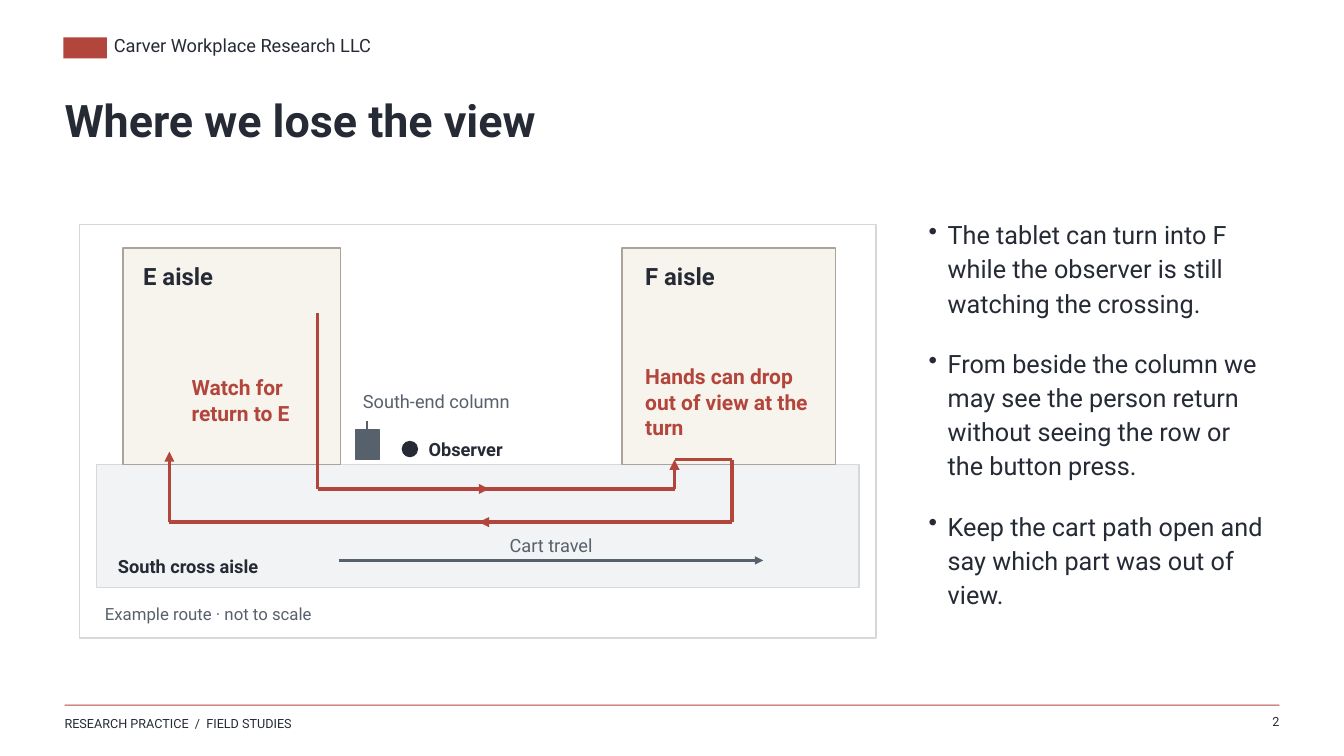
from dataclasses import dataclass
from itertools import pairwise

from lxml import etree
from pptx import Presentation
from pptx.dml.color import RGBColor
from pptx.enum.shapes import MSO_CONNECTOR, MSO_SHAPE
from pptx.enum.text import PP_ALIGN
from pptx.oxml.ns import qn
from pptx.util import Inches, Pt

RECTANGLE, OVAL = MSO_SHAPE.RECTANGLE, MSO_SHAPE.OVAL
STRAIGHT = MSO_CONNECTOR.STRAIGHT
LEFT, CENTER, RIGHT = PP_ALIGN.LEFT, PP_ALIGN.CENTER, PP_ALIGN.RIGHT

FONT = "Roboto"
INK, RED, SLATE = "252A35", "B3463C", "57616C"
WHITE, BORDER = "FFFFFF", "D5D9DB"
FLOOR, AISLE, AISLE_EDGE = "F2F3F4", "F7F3ED", "A9A39C"

# Every length is in columns and rows of a grid with square cells.
CELL = Inches(0.1)
COLUMNS, ROWS = 133.3, 75
MARGIN = 6.4
AISLE_TOP, AISLE_ROWS = 24.6, 21.5
F_TEXT = 64
OUT_ROW, BACK_ROW, CART_ROW = 48.5, 51.8, 55.6


@dataclass
class Block:
    column: float
    row: float
    columns: float
    rows: float
    fill: str
    edge: str | None = None
    preset: int = RECTANGLE


@dataclass
class Label:
    text: str
    column: float
    row: float
    columns: float
    rows: float
    size: float
    color: str = INK
    bold: bool = False
    align: int = LEFT


@dataclass
class Route:
    """A chain of straight legs; the last one may carry an arrowhead."""
    points: list[tuple[float, float]]
    color: str = RED
    width: float = 2.4
    arrow: bool = True


BLOCKS = [
    Block(6.3, 3.7, 4.3, 2.1, RED),
    Block(MARGIN, 69.9, 120.5, 0.1, RED),
    Block(7.9, 22.3, 79, 41, WHITE, BORDER),
    Block(9.6, AISLE_TOP + AISLE_ROWS, 75.6, 12.2, FLOOR, BORDER),
    Block(12.2, AISLE_TOP, 21.6, AISLE_ROWS, AISLE, AISLE_EDGE),
    Block(61.7, AISLE_TOP, 21.2, AISLE_ROWS, AISLE, AISLE_EDGE),
    Block(35.3, 42.6, 2.3, 3, SLATE, SLATE),
    Block(39.9, 43.8, 1.5, 1.5, INK, INK, OVAL),
]

ROUTES = [
    Route([(31.5, 31.1), (31.5, OUT_ROW), (66.9, OUT_ROW), (66.9, 45.6)]),
    Route([(66.9, 45.6), (72.6, 45.6), (72.6, BACK_ROW),
           (16.8, BACK_ROW), (16.8, 44.8)]),
    Route([(42.6, OUT_ROW), (48.5, OUT_ROW)]),
    Route([(53.4, BACK_ROW), (47.5, BACK_ROW)]),
    Route([(36.4, 41.8), (36.4, 42.6)], SLATE, 1, arrow=False),
    Route([(33.6, CART_ROW), (75.7, CART_ROW)], SLATE, 1.7),
]

LABELS = [
    Label("Carver Workplace Research LLC", 11.3, 3.4, 55, 3, 13),
    Label("Where we lose the view", MARGIN, 9.2, 120, 10, 32, bold=True),
    Label("RESEARCH PRACTICE  /  FIELD STUDIES", MARGIN, 71, 55, 2.4, 9),
    Label("2", 121.3, 70.8, 5.6, 2.4, 9, align=RIGHT),
    Label("E aisle", 14.2, 26, 16, 3.2, 17, bold=True),
    Label("F aisle", F_TEXT, 26, 16, 3.2, 17, bold=True),
    Label("South cross aisle", 11.7, 55.1, 21, 3, 13, bold=True),
    Label("Watch for return to E", 19, 37.2, 12.8, 7, 15, RED, True),
    Label("Hands can drop out of view at the turn",
          F_TEXT, 36.1, 16.6, 8, 15, RED, True),
    Label("South-end column", 36, 38.7, 17.6, 3.1, 13, SLATE),
    Label("Observer", 42.5, 43.5, 11.5, 2.5, 13, bold=True),
    Label("Cart travel", 43.9, 53, 21.5, 2.2, 13, SLATE, align=CENTER),
    Label("Example route · not to scale", 10.4, 59.9, 71, 2.4, 12, SLATE),
]

POINTS = [
    "The tablet can turn into F while the observer is still watching "
    "the crossing.",
    "From beside the column we may see the person return without seeing "
    "the row or the button press.",
    "Keep the cart path open and say which part was out of view.",
]


def cells(*counts: float) -> list[int]:
    return [round(count * CELL) for count in counts]


def rgb(color: str) -> RGBColor:
    return RGBColor.from_string(color)


def apply_format(target, values: dict) -> None:
    for name, value in values.items():
        setattr(target, name, value)


def add_block(page, block: Block) -> None:
    shape = page.shapes.add_shape(
        block.preset, *cells(block.column, block.row, block.columns, block.rows))
    shape.shadow.inherit = False
    shape.fill.solid()
    shape.fill.fore_color.rgb = rgb(block.fill)
    if block.edge:
        shape.line.color.rgb = rgb(block.edge)
        shape.line.width = Pt(0.9)
    else:
        shape.line.fill.background()


def add_route(page, route: Route) -> None:
    legs = list(pairwise(route.points))
    for number, (start, end) in enumerate(legs, 1):
        leg = page.shapes.add_connector(STRAIGHT, *cells(*start, *end))
        leg.line.color.rgb = rgb(route.color)
        leg.line.width = Pt(route.width)
        properties = leg._element.spPr
        if route.arrow and number == len(legs):
            outline = properties.find(qn("a:ln"))
            etree.SubElement(outline, qn("a:tailEnd"), type="triangle")
        etree.SubElement(properties, qn("a:effectLst"))


def add_text_frame(page, column: float, row: float, columns: float, rows: float):
    box = page.shapes.add_textbox(*cells(column, row, columns, rows))
    apply_format(box.text_frame, {
        "word_wrap": True, "margin_left": 0, "margin_top": 0,
        "margin_right": 0, "margin_bottom": 0})
    return box.text_frame


def add_span(para, text: str, size: float, color: str, bold: bool = False) -> None:
    span = para.add_run()
    span.text = text
    apply_format(span.font, {"name": FONT, "size": Pt(size), "bold": bold})
    span.font.color.rgb = rgb(color)


def add_label(page, label: Label) -> None:
    frame = add_text_frame(
        page, label.column, label.row, label.columns, label.rows)
    para = frame.paragraphs[0]
    para.alignment = label.align
    add_span(para, label.text, label.size, label.color, label.bold)


def add_bullets(page, points: list[str]) -> None:
    frame = add_text_frame(page, 91.6, 21.4, 34, 43)
    for number, point in enumerate(points):
        para = frame.add_paragraph() if number else frame.paragraphs[0]
        properties = para._p.get_or_add_pPr()
        properties.set("marL", str(Inches(0.24)))
        properties.set("indent", str(-Inches(0.19)))
        etree.SubElement(properties, qn("a:buChar"), char="•")
        apply_format(para, {"line_spacing": 1.13, "space_after": Pt(18.6)})
        add_span(para, point, 18, INK)


def main() -> None:
    deck = Presentation()
    deck.slide_width, deck.slide_height = cells(COLUMNS, ROWS)
    page = deck.slides.add_slide(deck.slide_layouts[6])
    for block in BLOCKS:
        add_block(page, block)
    for route in ROUTES:
        add_route(page, route)
    for label in LABELS:
        add_label(page, label)
    add_bullets(page, POINTS)
    deck.save("out.pptx")


if __name__ == "__main__":
    main()
